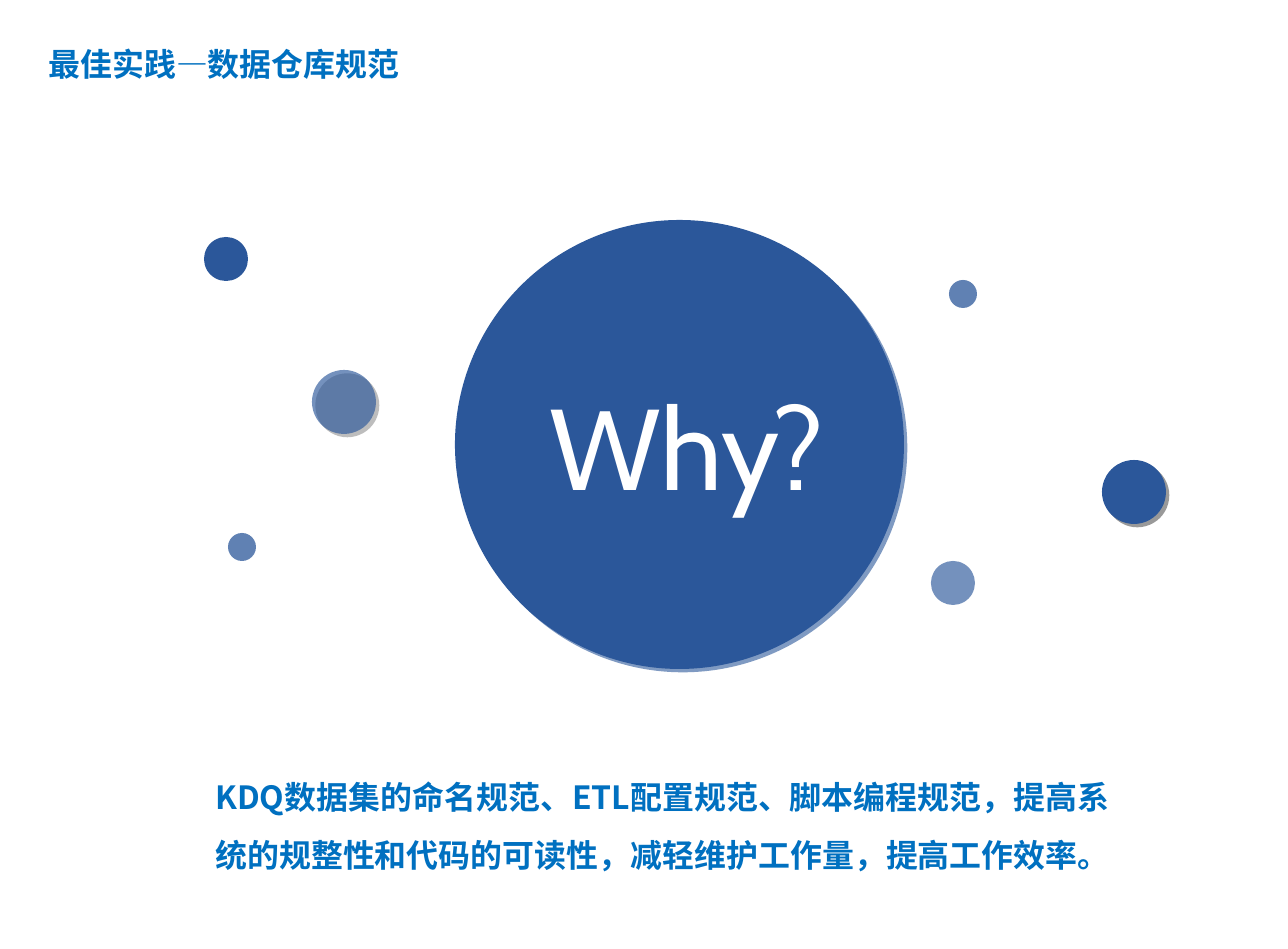
from dataclasses import dataclass

import pptx
import pptx.dml.color
import pptx.enum.shapes
import pptx.enum.text
import pptx.oxml
import pptx.oxml.ns
import pptx.util
from pptx.slide import Slide

EMU_PER_PX = 7965
BLUE = "2B579A"
TEXT_BLUE = "0070C0"
CJK_FONT = "Noto Sans CJK SC"


@dataclass(frozen=True)
class Shadow:
    color: str
    opacity: int


@dataclass(frozen=True)
class Circle:
    left: int
    top: int
    size: int
    opacity: int = 100
    shadow: Shadow | None = None


SOFT_BLACK = Shadow("000000", 40)
CENTRE = Circle(455, 220, 449, shadow=Shadow(BLUE, 60))
SATELLITES = [
    Circle(949, 280, 28, opacity=75),
    Circle(1102, 460, 64, shadow=SOFT_BLACK),
    Circle(931, 561, 44, opacity=65),
    Circle(204, 237, 44),
    Circle(312, 370, 64, opacity=65, shadow=SOFT_BLACK),
    Circle(228, 533, 28, opacity=75),
]


def px(length: int) -> pptx.util.Emu:
    return pptx.util.Emu(length * EMU_PER_PX)


def rgb(color: str) -> pptx.dml.color.RGBColor:
    return pptx.dml.color.RGBColor.from_string(color)


def draw_circle(slide: Slide, circle: Circle) -> None:
    oval = slide.shapes.add_shape(
        pptx.enum.shapes.MSO_SHAPE.OVAL,
        px(circle.left), px(circle.top), px(circle.size), px(circle.size),
    )
    oval.fill.solid()
    oval.fill.fore_color.rgb = rgb(BLUE)
    oval.line.fill.background()
    oval.shadow.inherit = False
    properties = oval.fill._xPr
    if circle.opacity < 100:
        color = properties.find(".//" + pptx.oxml.ns.qn("a:srgbClr"))
        alpha = pptx.oxml.parse_xml(
            f'<a:alpha {pptx.oxml.ns.nsdecls("a")} val="{circle.opacity * 1000}"/>')
        color.append(alpha)
    if circle.shadow:
        # Hard shadow, 3 pt towards the lower right
        properties.find(pptx.oxml.ns.qn("a:effectLst")).append(pptx.oxml.parse_xml(
            f'<a:outerShdw {pptx.oxml.ns.nsdecls("a")} blurRad="0" '
            f'dist="{pptx.util.Pt(3)}" dir="2700000" algn="tl" rotWithShape="0">'
            f'<a:srgbClr val="{circle.shadow.color}">'
            f'<a:alpha val="{circle.shadow.opacity * 1000}"/>'
            '</a:srgbClr></a:outerShdw>'))


def add_text(slide: Slide, text: str, *, left: int, top: int, width: int,
             height: int, size: int, font: str, color: str,
             bold: bool = False, spacing: float = 1.0) -> None:
    box = slide.shapes.add_textbox(px(left), px(top), px(width), px(height))
    frame = box.text_frame
    frame.word_wrap = True
    frame.auto_size = pptx.enum.text.MSO_AUTO_SIZE.SHAPE_TO_FIT_TEXT
    paragraph = frame.paragraphs[0]
    paragraph.line_spacing = spacing
    run = paragraph.add_run()
    run.text = text
    run.font.size = pptx.util.Pt(size)
    run.font.name = font
    run.font.bold = bold
    run.font.color.rgb = rgb(color)
    # Chinese characters take their own typeface
    run.font._rPr.append(pptx.oxml.parse_xml(
        f'<a:ea {pptx.oxml.ns.nsdecls("a")} typeface="{CJK_FONT}"/>'))


def main() -> None:
    presentation = pptx.Presentation()
    presentation.slide_width = px(1288)
    presentation.slide_height = px(949)
    slide = presentation.slides.add_slide(presentation.slide_layouts[6])

    # Heading
    add_text(slide, "最佳实践—数据仓库规范", left=37, top=39, width=512, height=51,
             size=20, font="Arial", color=TEXT_BLUE, bold=True)

    # Central question
    draw_circle(slide, CENTRE)
    add_text(slide, "Why?", left=538, top=370, width=310, height=149,
             size=72, font="Cabin", color="FFFFFF")

    # Surrounding circles
    for satellite in SATELLITES:
        draw_circle(slide, satellite)

    # Answer
    add_text(slide,
             "KDQ数据集的命名规范、ETL配置规范、脚本编程规范，提高系统的规整性和"
             "代码的可读性，减轻维护工作量，提高工作效率。",
             left=204, top=753, width=931, height=126, size=20, font=CJK_FONT,
             color=TEXT_BLUE, bold=True, spacing=1.5)

    presentation.save("out.pptx")


if __name__ == "__main__":
    main()
